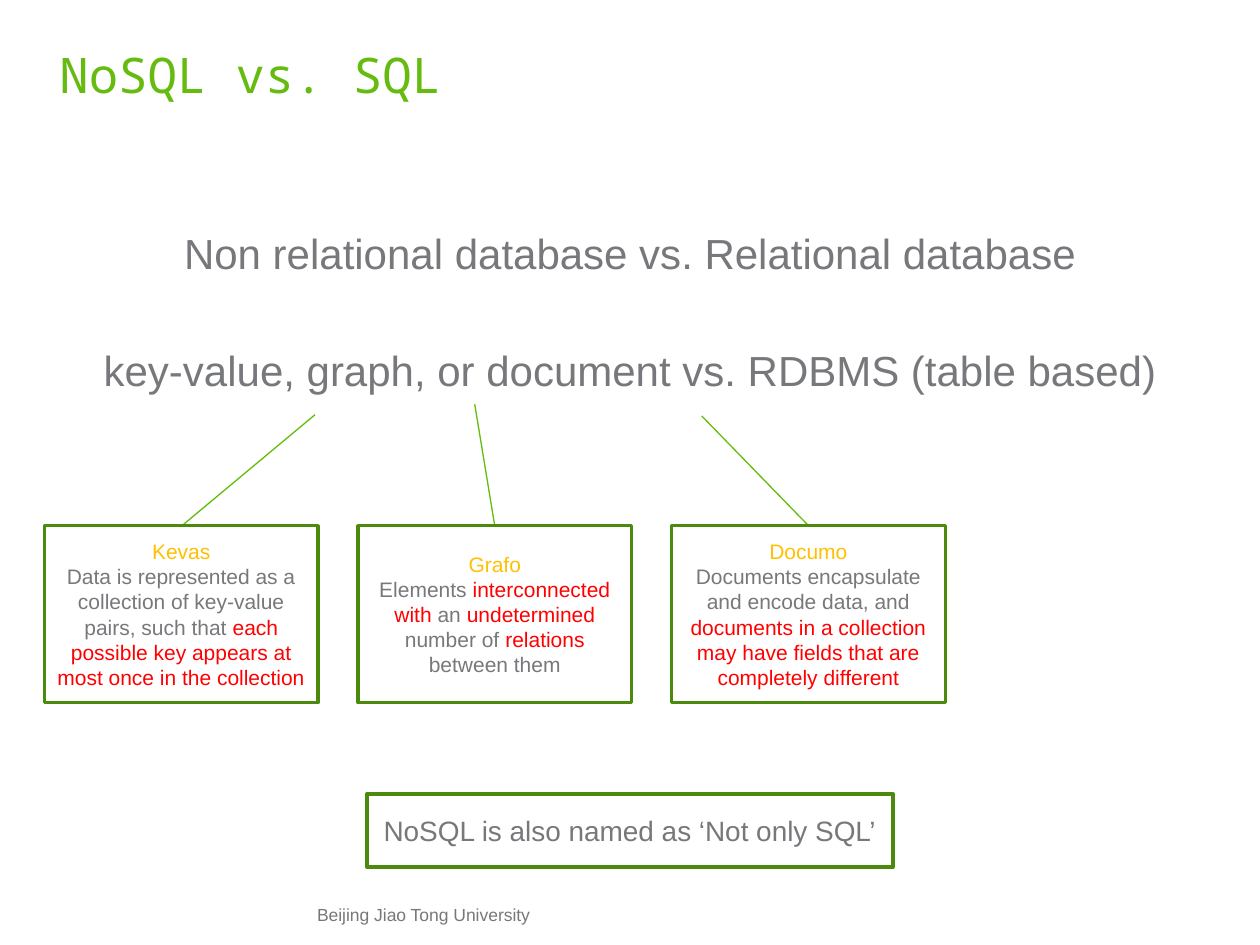
from lxml import etree
from pptx import Presentation
from pptx.dml.color import RGBColor
from pptx.enum import shapes, text
from pptx.oxml import ns
from pptx.util import Pt

GREEN = RGBColor(0x65, 0xBB, 0x10)
LINE_GREEN = RGBColor(0x63, 0xBB, 0x0B)
BORDER_GREEN = RGBColor(0x4B, 0x8A, 0x0C)
GREY = RGBColor(0x77, 0x78, 0x7B)
AMBER = RGBColor(0xFF, 0xC0, 0x00)
RED = RGBColor(0xFF, 0x00, 0x00)
CENTER = text.PP_ALIGN.CENTER

deck = Presentation()
deck.slide_width, deck.slide_height = Pt(720), Pt(540)
page = deck.slides.add_slide(deck.slide_layouts[6])


def write(box, paragraphs, size, font="Arial", align=CENTER, gap=0):
    """Fill a box with paragraphs, each a list of (words, colour) spans."""
    frame = box.text_frame
    frame.word_wrap = True
    for index, spans in enumerate(paragraphs):
        para = frame.add_paragraph() if index else frame.paragraphs[0]
        para.alignment = align
        if index:
            para.space_before = Pt(gap)
        for words, colour in spans:
            span = para.add_run()
            span.text = words
            span.font.name, span.font.size = font, Pt(size)
            span.font.color.rgb = colour


def add_frame(left, top, width, height):
    box = page.shapes.add_shape(
        shapes.MSO_SHAPE.RECTANGLE, Pt(left), Pt(top), Pt(width), Pt(height))
    box.shadow.inherit = False
    box.fill.background()
    box.line.color.rgb, box.line.width = BORDER_GREEN, Pt(2)
    box.text_frame.vertical_anchor = text.MSO_ANCHOR.MIDDLE
    return box


# Title, comparison lines and footer
plain_texts = [
    ((34, 25.4, 652, 41), ["NoSQL vs. SQL"], GREEN, 28, "Noto Sans Mono", text.PP_ALIGN.LEFT),
    ((34, 130.2, 652, 100),
     ["Non relational database vs. Relational database",
      "key-value, graph, or document vs. RDBMS (table based)"],
     GREY, 24, "Arial", CENTER),
    ((126, 516.5, 232, 20), ["Beijing Jiao Tong University"], GREY, 10, "Arial", CENTER),
]
for place, lines, colour, size, font, align in plain_texts:
    box = page.shapes.add_textbox(*map(Pt, place))
    frame = box.text_frame
    frame.margin_left = frame.margin_right = frame.margin_top = frame.margin_bottom = 0
    write(box, [[(line, colour)] for line in lines], size, font, align, gap=37.8)

# One database per kind of store, joined to the word it illustrates
CARD_LEFT, CARD_TOP, CARD_WIDTH, CARD_HEIGHT, CARD_STEP = 25.3, 300.4, 156.5, 101, 179.2
databases = [
    ("Kevas", (180, 237), 104, [
        ("Data is represented as a collection of key-value pairs, such that ", GREY),
        ("each possible key appears at most once in the collection", RED)]),
    ("Grafo", (271.3, 231), 282.7, [
        ("Elements ", GREY), ("interconnected with", RED), (" an ", GREY),
        ("undetermined", RED), (" number of ", GREY), ("relations", RED),
        (" between them", GREY)]),
    ("Documo", (401, 237.7), 462, [
        ("Documents encapsulate and encode data, and ", GREY),
        ("documents in a collection may have fields that are completely different", RED)]),
]
for column, (name, (start_x, start_y), end_x, description) in enumerate(databases):
    link = page.shapes.add_connector(
        shapes.MSO_CONNECTOR.STRAIGHT, Pt(start_x), Pt(start_y), Pt(end_x), Pt(CARD_TOP))
    link.line.color.rgb, link.line.width = LINE_GREEN, Pt(0.75)
    etree.SubElement(link.element.spPr, ns.qn("a:effectLst"))
    card = add_frame(CARD_LEFT + column * CARD_STEP, CARD_TOP, CARD_WIDTH, CARD_HEIGHT)
    write(card, [[(name, AMBER)], description], 12)

note = add_frame(209.7, 453.6, 300.5, 42)
write(note, [[("NoSQL is also named as ‘Not only SQL’", GREY)]], 16)

deck.save("out.pptx")
